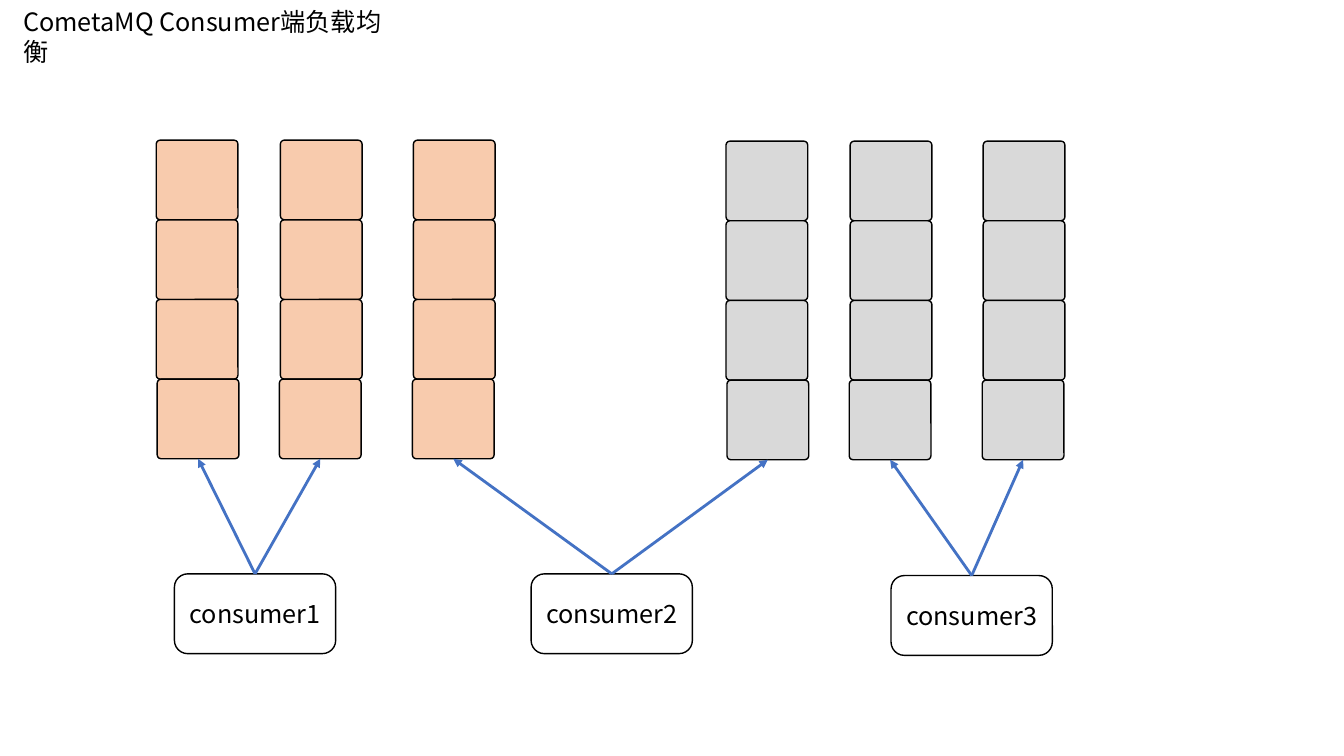
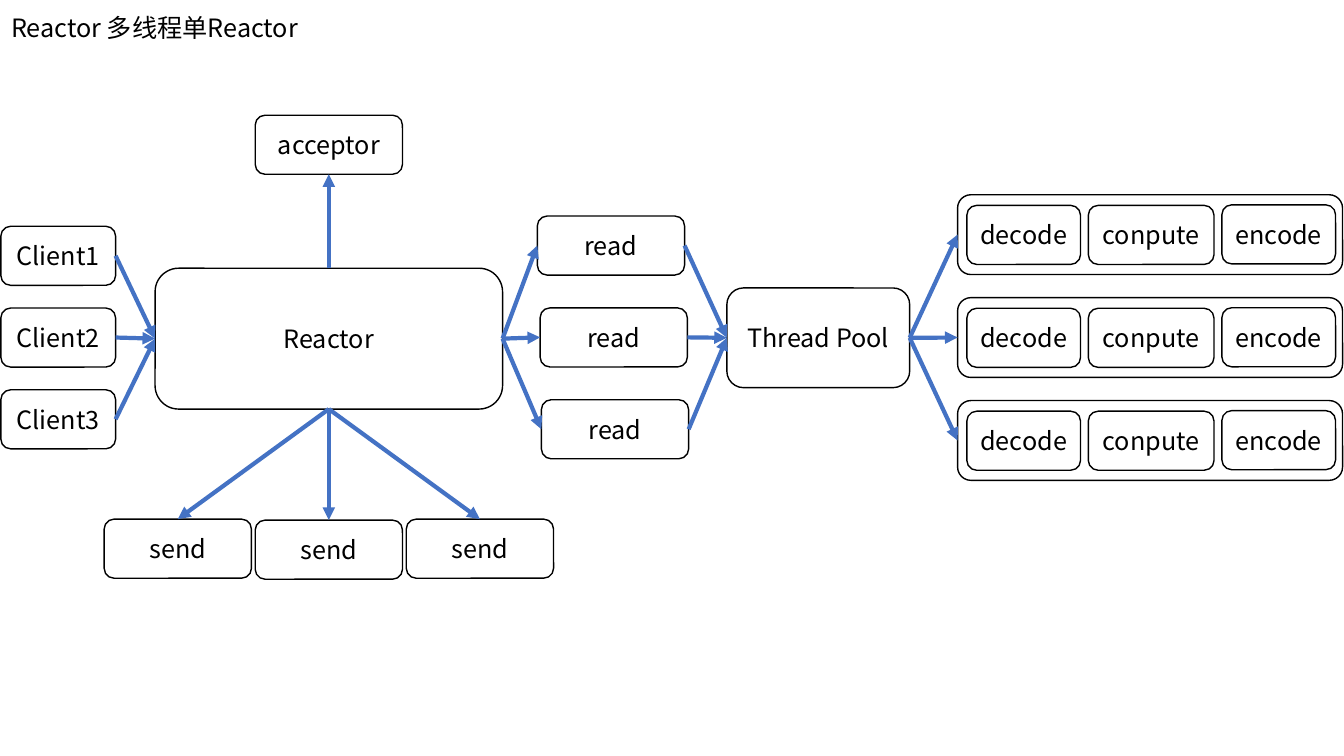
from dataclasses import dataclass
from typing import Any

from lxml import etree
from pptx import Presentation
from pptx import util as u
from pptx.dml import color
from pptx.enum import shapes, text
from pptx.oxml import ns

FACE = "Noto Sans CJK SC"
BLACK, WHITE, BLUE = "000000", "FFFFFF", "4472C4"
PEACH, GREY = "F8CBAD", "D9D9D9"
TOP, LEFT, BASE, RIGHT = range(4)  # connection sites of a rounded box

FONT = {"name": FACE, "size": u.Pt(18), "bold": False}
TITLE = {"word_wrap": True, "auto_size": text.MSO_AUTO_SIZE.NONE,
         "vertical_anchor": text.MSO_ANCHOR.TOP}
LABEL = {"word_wrap": True, "vertical_anchor": text.MSO_ANCHOR.MIDDLE}


@dataclass
class Box:
    """A rounded box, with lengths in points."""
    x: float
    y: float
    w: float
    h: float
    label: str = ""
    fill: str = WHITE
    round: float = 0.1667


def rgb(code: str) -> color.RGBColor:
    """Turn a hex string into a colour."""
    return color.RGBColor.from_string(code)


def apply(item: Any, form: dict) -> None:
    """Set each format value on an item."""
    for key, val in form.items():
        setattr(item, key, val)


def write(frame: Any, words: str, form: dict, align: Any) -> None:
    """Put one line of styled text in a frame."""
    apply(frame, form)
    para = frame.paragraphs[0]
    para.alignment = align
    run = para.add_run()
    run.text = words
    apply(run.font, FONT)
    run.font.color.rgb = rgb(BLACK)
    east = etree.SubElement(run.font._element, ns.qn("a:ea"))
    east.set("typeface", FACE)


def start(deck: Any, words: str, x: float, y: float) -> Any:
    """Add a slide with its title at the given place."""
    slide = deck.slides.add_slide(deck.slide_layouts[5])
    head = slide.shapes.title
    apply(head, {"left": u.Pt(x), "top": u.Pt(y),
                 "width": u.Pt(273.6), "height": u.Pt(29)})
    write(head.text_frame, words, TITLE, text.PP_ALIGN.LEFT)
    return slide


def draw(slide: Any, box: Box) -> Any:
    """Draw a box and return its shape."""
    shape = slide.shapes.add_shape(
        shapes.MSO_SHAPE.ROUNDED_RECTANGLE,
        *map(u.Pt, (box.x, box.y, box.w, box.h)))
    shape.adjustments[0] = box.round
    shape.shadow.inherit = False
    shape.fill.solid()
    shape.fill.fore_color.rgb = rgb(box.fill)
    shape.line.color.rgb = rgb(BLACK)
    shape.line.width = u.Pt(1)
    if box.label:
        write(shape.text_frame, box.label, LABEL, text.PP_ALIGN.CENTER)
    return shape


def link(slide: Any, tail: Any, out: int, head: Any, into: int,
         width: float = 3) -> None:
    """Join two shapes by an arrow between connection sites."""
    arrow = slide.shapes.add_connector(
        shapes.MSO_CONNECTOR.STRAIGHT, 0, 0, 0, 0)
    arrow.begin_connect(tail, out)
    arrow.end_connect(head, into)
    arrow.line.color.rgb = rgb(BLUE)
    arrow.line.width = u.Pt(width)
    tip = etree.SubElement(arrow.line._get_or_add_ln(), ns.qn("a:tailEnd"))
    tip.set("type", "triangle")
    etree.SubElement(arrow._element.spPr, ns.qn("a:effectLst"))


def queue(slide: Any, x: float, y: float, shift: float, fill: str) -> Any:
    """Stack four cells and return the lowest, set off by a shift."""
    step = 56.9
    for row in range(3):
        draw(slide, Box(x, y + row * step, 58.4, step, "", fill, 0.05))
    return draw(slide, Box(x + shift, y + 3 * step, 58.4, step, "",
                           fill, 0.05))


def balance(deck: Any) -> None:
    """Build the slide on sharing queues among consumers."""
    slide = start(deck, "CometaMQ Consumer端负载均衡", 9.4, 0.7)
    ends = [queue(slide, left + gap, top, shift, fill)
            for left, top, fill in ((111.6, 100.1, PEACH),
                                    (518.6, 100.8, GREY))
            for gap, shift in ((0, 0.7), (88.7, -0.7), (183.7, -0.7))]
    spots = ((124.6, 409.9), (379.4, 409.9), (636.5, 411.1))
    for num, (x, y) in enumerate(spots):
        user = draw(slide, Box(x, y, 115.2, 57, f"consumer{num + 1}"))
        for end in ends[2 * num:2 * num + 2]:
            link(slide, user, TOP, end, BASE, 2)


def threads(deck: Any) -> None:
    """Build the slide on one reactor with a thread pool."""
    slide = start(deck, "Reactor 多线程单Reactor", 0.7, 5)
    high, wide = 42.2, 105.2
    core = draw(slide, Box(110.8, 191.6, 248.2, 100.6, "Reactor"))
    pool = draw(slide, Box(519.2, 205.7, 130.6, 71.2, "Thread Pool"))
    gate = draw(slide, Box(182.3, 82.3, wide, high, "acceptor"))
    link(slide, core, TOP, gate, BASE)

    for num, (x, drop) in enumerate(((383.8, 0), (385.8, 0.7), (386.7, 0))):
        user = draw(slide, Box(0.6, 161.6 + 58.4 * num, 82, high,
                               f"Client{num + 1}"))
        link(slide, user, RIGHT, core, LEFT)
        send = draw(slide, Box(74.4 + 107.9 * num, 370.8 + drop,
                               wide, high, "send"))
        link(slide, core, BASE, send, TOP)
        read = draw(slide, Box(x, 154.3 + 65.6 * num, wide, high, "read"))
        link(slide, core, RIGHT, read, LEFT)
        link(slide, read, RIGHT, pool, LEFT)

        y = 139.1 + 73.5 * num
        row = draw(slide, Box(684, y, 275, 57))
        for label, left, size, inset in (("decode", 690.6, 81.2, 7.6),
                                         ("conpute", 777.4, 89.8, 7.6),
                                         ("encode", 872.8, 81.2, 7.2)):
            draw(slide, Box(left, y + inset, size, high, label))
        link(slide, pool, RIGHT, row, LEFT)


def main() -> None:
    """Build and save the deck."""
    deck = Presentation()
    apply(deck, {"slide_width": u.Pt(960), "slide_height": u.Pt(540)})
    balance(deck)
    threads(deck)
    deck.save("out.pptx")


main()
